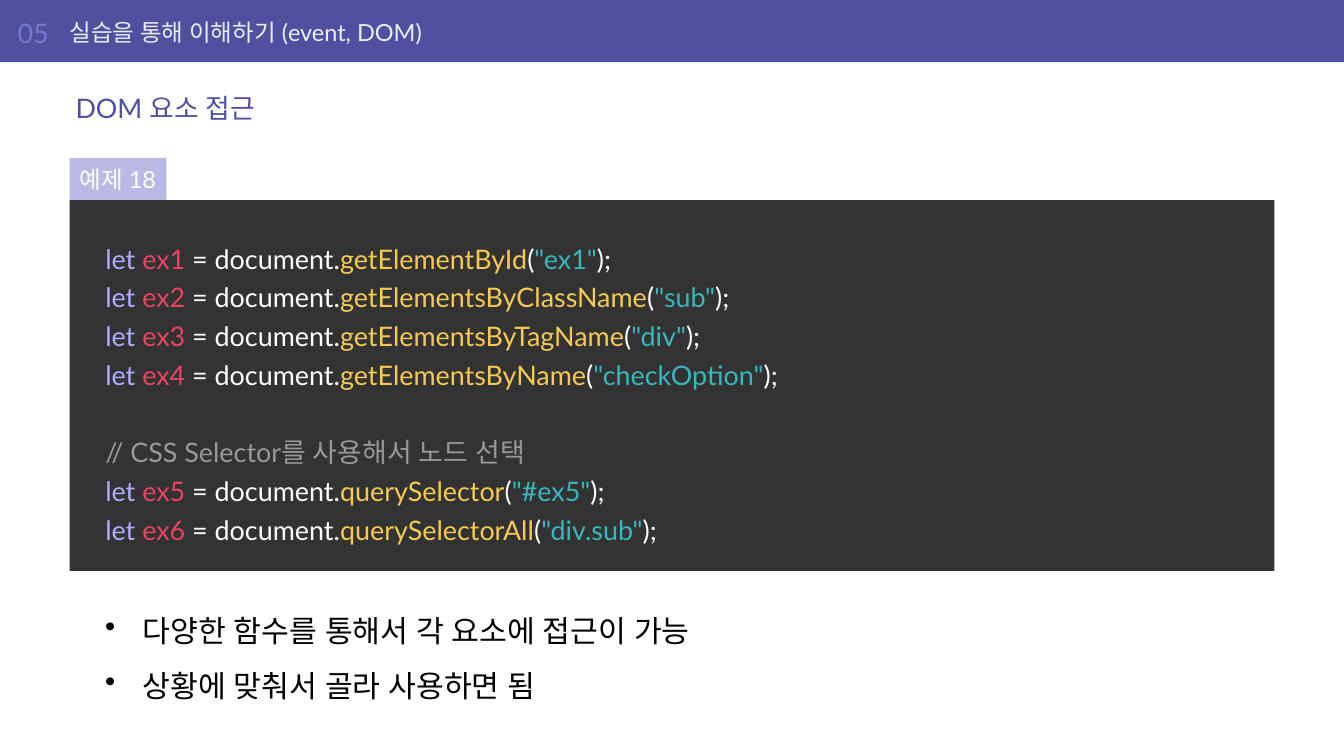
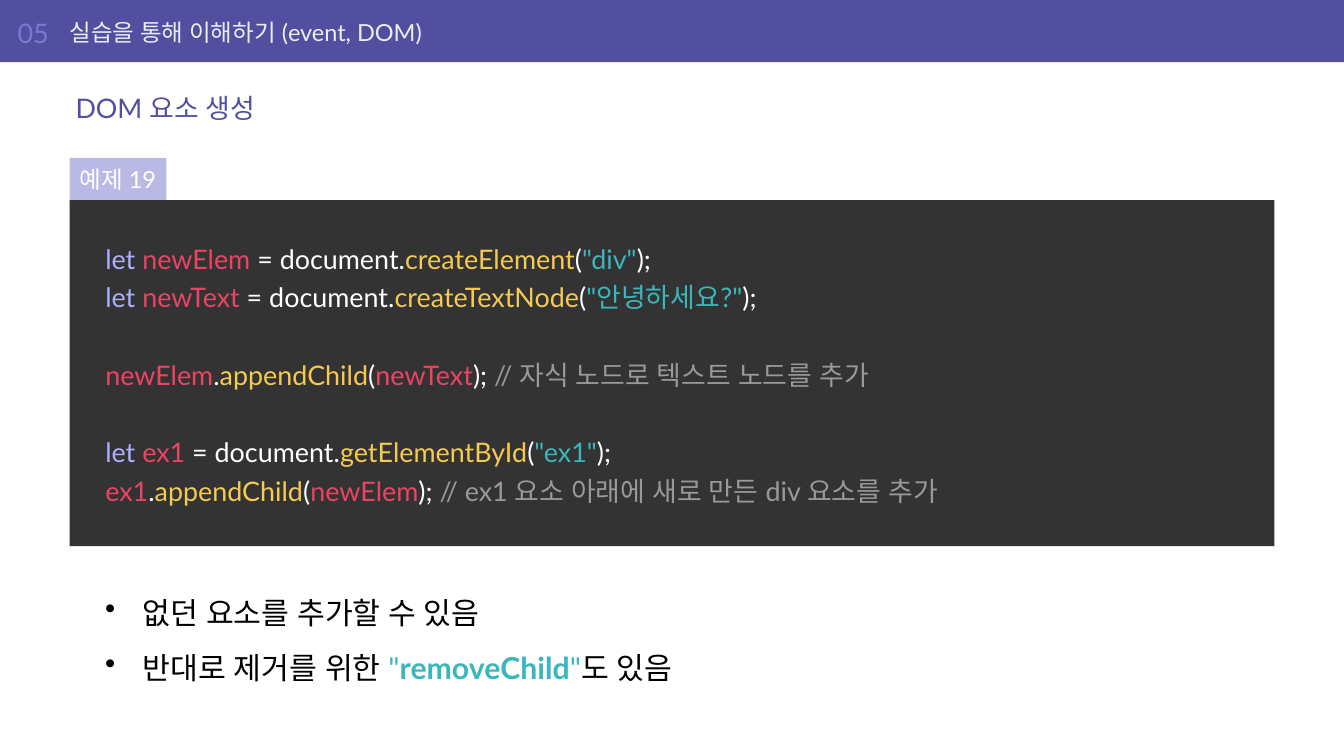
from dataclasses import dataclass, field

from lxml import etree
from pptx import Presentation
from pptx.dml.color import RGBColor
from pptx.enum.shapes import MSO_SHAPE
from pptx.enum.text import MSO_ANCHOR, PP_ALIGN
from pptx.oxml.ns import qn
from pptx.util import Emu, Pt

RECTANGLE = MSO_SHAPE.RECTANGLE
TOP, MIDDLE = MSO_ANCHOR.TOP, MSO_ANCHOR.MIDDLE
LEFT, CENTER = PP_ALIGN.LEFT, PP_ALIGN.CENTER
EMU_PER_PX = 9144
SLIDE_WIDTH, SLIDE_HEIGHT = 2222, 1250
CONTENT_LEFT, CONTENT_WIDTH = 115, 1992
CODE_TOP, CODE_PADDING = 331, 59
BULLET_LEFT, BULLET_WIDTH, BULLET_INDENT = 164, 1907, 62


def px(length):
    return Emu(length * EMU_PER_PX)


@dataclass(frozen=True)
class Theme:
    font: str = "Lato"
    header_size: int = 28
    heading_size: int = 32
    code_size: int = 32
    bullet_size: int = 36
    code_gap: int = 46
    colors: dict = field(default_factory=lambda: {
        "band": "524FA1",
        "number": "7979D3",
        "header": "ECEEF6",
        "heading": "524FA1",
        "tag": "BAB9E6",
        "panel": "333333",
        "plain": "FFFFFF",
        "keyword": "AEAEFF",
        "variable": "EA4464",
        "method": "F5CA52",
        "string": "3AB7BC",
        "strong": "3AB7BC",
        "comment": "999999",
        "body": "000000",
    })

    def color(self, role):
        return RGBColor.from_string(self.colors[role])


class Deck:
    def __init__(self, theme):
        self.theme = theme
        self.presentation = Presentation()
        self.presentation.slide_width = px(SLIDE_WIDTH)
        self.presentation.slide_height = px(SLIDE_HEIGHT)
        self.slide = None

    def new_slide(self, number, header, heading):
        blank = self.presentation.slide_layouts[6]
        self.slide = self.presentation.slides.add_slide(blank)
        size = self.theme.header_size
        self.rectangle((0, 0, SLIDE_WIDTH, 103), "band")
        self.label((29, 15, 87, 77), number, "number", self.theme.heading_size, 0)
        self.label((CONTENT_LEFT, 15, 1878, 77), header, "header", size, 0)
        self.label((CONTENT_LEFT, 140, CONTENT_WIDTH, 77), heading, "heading",
                   self.theme.heading_size)

    def rectangle(self, box, role):
        rectangle = self.slide.shapes.add_shape(RECTANGLE, *map(px, box))
        rectangle.shadow.inherit = False
        rectangle.fill.solid()
        rectangle.fill.fore_color.rgb = self.theme.color(role)
        rectangle.line.fill.background()
        return rectangle

    def text_box(self, box):
        return self.slide.shapes.add_textbox(*map(px, box))

    def frame(self, shape, margins=(10, 5, 10, 5), anchor=TOP):
        left, top, right, bottom = map(px, margins)
        frame = shape.text_frame
        settings = {"word_wrap": True, "vertical_anchor": anchor,
                    "margin_left": left, "margin_top": top,
                    "margin_right": right, "margin_bottom": bottom}
        for name, value in settings.items():
            setattr(frame, name, value)
        return frame

    def fill_paragraph(self, paragraph, runs, size, **layout):
        for name, value in {"alignment": LEFT, **layout}.items():
            setattr(paragraph, name, value)
        for role, text in runs:
            run = paragraph.add_run()
            run.text = text
            run.font.color.rgb = self.theme.color(role)
            style = {"name": self.theme.font, "size": Pt(size),
                     "bold": role == "strong"}
            for name, value in style.items():
                setattr(run.font, name, value)
            east_asian = etree.SubElement(run._r.get_or_add_rPr(), qn("a:ea"))
            east_asian.set("typeface", self.theme.font)

    def paragraphs(self, frame, count):
        return [frame.paragraphs[0]] + [frame.add_paragraph() for _ in range(count - 1)]

    def label(self, box, text, role, size, margin_left=10):
        frame = self.frame(self.text_box(box), (margin_left, 5, 10, 5), MIDDLE)
        self.fill_paragraph(frame.paragraphs[0], [(role, text)], size)

    def tag(self, text):
        tag = self.rectangle((CONTENT_LEFT, 261, 160, 71), "tag")
        frame = self.frame(tag, (10, 12, 10, 12), MIDDLE)
        self.fill_paragraph(frame.paragraphs[0], [("plain", text)],
                            self.theme.header_size, alignment=CENTER)

    def code(self, height, blocks):
        panel = self.rectangle((CONTENT_LEFT, CODE_TOP, CONTENT_WIDTH, height), "panel")
        frame = self.frame(panel, (CODE_PADDING,) * 4)
        lines = [(line, block > 0 and position == 0)
                 for block, content in enumerate(blocks)
                 for position, line in enumerate(content)]
        for paragraph, (line, after_gap) in zip(self.paragraphs(frame, len(lines)), lines):
            gap = self.theme.code_gap if after_gap else 0
            self.fill_paragraph(paragraph, line, self.theme.code_size,
                                line_spacing=1.2, space_before=Pt(gap))

    def bullets(self, top, height, items):
        frame = self.frame(self.text_box((BULLET_LEFT, top, BULLET_WIDTH, height)))
        for paragraph, runs in zip(self.paragraphs(frame, len(items)), items):
            properties = paragraph._p.get_or_add_pPr()
            properties.set("marL", str(px(BULLET_INDENT)))
            properties.set("indent", str(-px(BULLET_INDENT)))
            etree.SubElement(properties, qn("a:buChar")).set("char", "•")
            self.fill_paragraph(paragraph, runs, self.theme.bullet_size, line_spacing=1.5)


def call(method, role, argument, ending):
    return [("method", method), ("plain", "("), (role, argument), ("plain", ending)]


def declare(variable, method, argument):
    return [("keyword", "let "), ("variable", variable), ("plain", " = document."),
            *call(method, "string", f'"{argument}"', ");")]


def append_child(parent, child, comment):
    return [("variable", parent), ("plain", "."),
            *call("appendChild", "variable", child, "); "), ("comment", comment)]


LESSONS = [
    {
        "heading": "DOM 요소 접근",
        "tag": "예제 18",
        "code_height": 613,
        "code": [
            [
                declare("ex1", "getElementById", "ex1"),
                declare("ex2", "getElementsByClassName", "sub"),
                declare("ex3", "getElementsByTagName", "div"),
                declare("ex4", "getElementsByName", "checkOption"),
            ],
            [
                [("comment", "// CSS Selector를 사용해서 노드 선택")],
                declare("ex5", "querySelector", "#ex5"),
                declare("ex6", "querySelectorAll", "div.sub"),
            ],
        ],
        "bullets_top": 978,
        "bullets_height": 216,
        "bullets": [
            [("body", "다양한 함수를 통해서 각 요소에 접근이 가능")],
            [("body", "상황에 맞춰서 골라 사용하면 됨")],
        ],
    },
    {
        "heading": "DOM 요소 생성",
        "tag": "예제 19",
        "code_height": 572,
        "code": [
            [
                declare("newElem", "createElement", "div"),
                declare("newText", "createTextNode", "안녕하세요?"),
            ],
            [append_child("newElem", "newText", "// 자식 노드로 텍스트 노드를 추가")],
            [
                declare("ex1", "getElementById", "ex1"),
                append_child("ex1", "newElem",
                             "// ex1 요소 아래에 새로 만든 div 요소를 추가"),
            ],
        ],
        "bullets_top": 948,
        "bullets_height": 247,
        "bullets": [
            [("body", "없던 요소를 추가할 수 있음")],
            [("body", "반대로 제거를 위한 "), ("string", '"'),
             ("strong", "removeChild"), ("string", '"'), ("body", "도 있음")],
        ],
    },
]


def main():
    deck = Deck(Theme())
    for lesson in LESSONS:
        deck.new_slide("05", "실습을 통해 이해하기 (event, DOM)", lesson["heading"])
        deck.tag(lesson["tag"])
        deck.code(lesson["code_height"], lesson["code"])
        deck.bullets(lesson["bullets_top"], lesson["bullets_height"], lesson["bullets"])
    deck.presentation.save("out.pptx")


if __name__ == "__main__":
    main()
